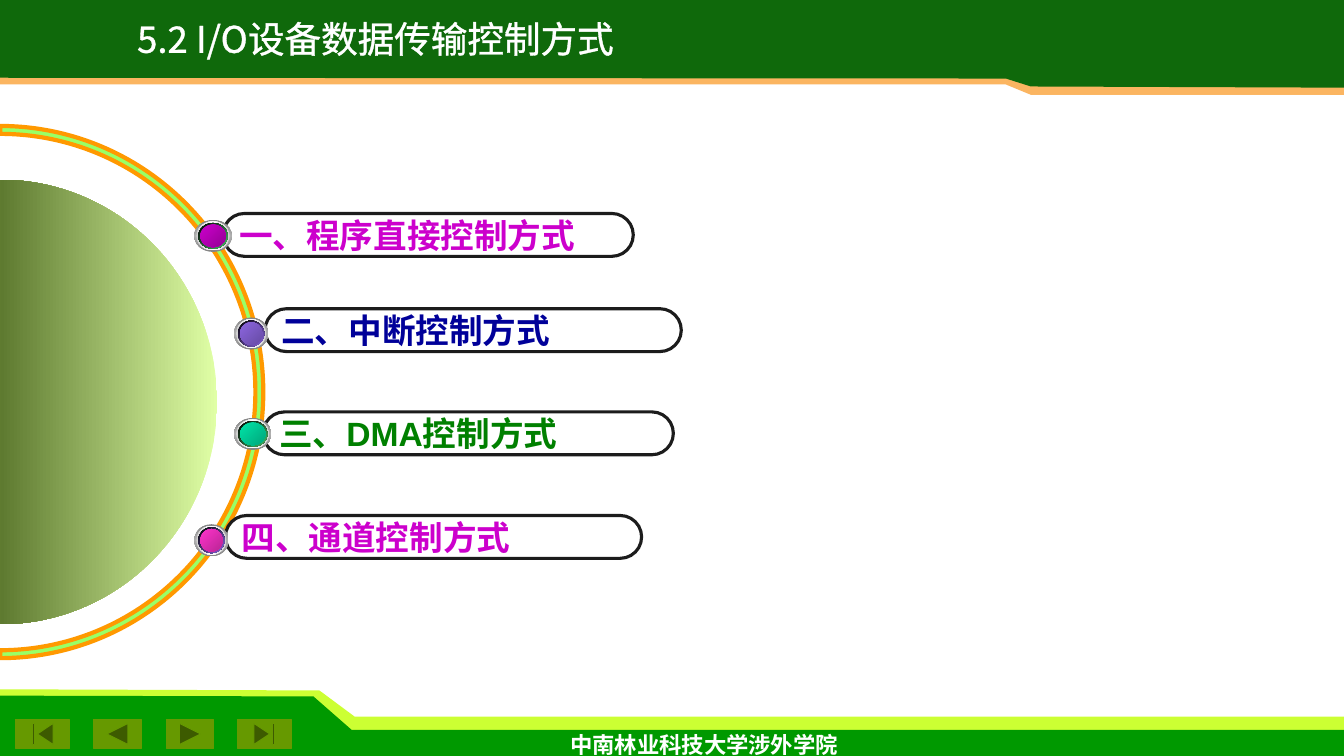
from dataclasses import dataclass

from pptx import Presentation
from pptx.dml.color import RGBColor as RGB
from pptx.enum.shapes import MSO_SHAPE as SHAPE
from pptx.enum.text import MSO_ANCHOR, MSO_AUTO_SIZE, PP_ALIGN
from pptx.oxml import parse_xml
from pptx.oxml.ns import nsdecls, qn
from pptx.util import Cm, Pt


@dataclass(frozen=True)
class Theme:
    white: str = "FFFFFF"
    header: str = "0F690B"
    header_edge: str = "FBB561"
    footer: str = "009900"
    footer_edge: str = "CCFF33"
    button: str = "669900"
    ring: str = "99FF66"
    ring_edge: str = "FF9900"
    disc: tuple = ("E0FFA6", "5E7A30", "E0FFA6")
    pill_edge: str = "1C1C1C"
    outer_rim: tuple = ("858585", "B0B0B0", "858585")
    inner_rim: tuple = ("D1D1D1", "FFFFFF", "D1D1D1")
    purple: str = "CC00CC"
    navy: str = "000099"
    green: str = "008000"
    title_font: str = "Noto Sans CJK SC"
    title_size: Pt = Pt(26.1)
    item_size: Pt = Pt(24)
    footer_size: Pt = Pt(16)


T = Theme()
W, H = 33.87, 19.05

prs = Presentation()
prs.slide_width, prs.slide_height = Cm(W), Cm(H)
s = prs.slides.add_slide(prs.slide_layouts[5])


def gradient(sp, angle, colors):
    """Fill with evenly spaced stops; the angle runs clockwise in degrees."""
    stops = "".join(
        f'<a:gs pos="{100000 * i // (len(colors) - 1)}"><a:srgbClr val="{c}"/></a:gs>'
        for i, c in enumerate(colors))
    sp.fill.background()
    sp_pr = sp.element.spPr
    sp_pr.replace(sp_pr.find(qn("a:noFill")), parse_xml(
        f'<a:gradFill {nsdecls("a")} rotWithShape="1"><a:gsLst>{stops}</a:gsLst>'
        f'<a:lin ang="{angle * 60000}" scaled="0"/></a:gradFill>'))


# Footer and header bands, with a faint highlight under the header step
bands = [
    (T.footer_edge, 100,
     [(0, 18.8), (W, 18.8), (W, 18.06), (8.94, 18.06), (8.05, 17.4), (0, 17.37)]),
    (T.footer, 100,
     [(0, H), (W, H), (W, 18.39), (8.86, 18.39), (7.9, 17.55), (0, 17.53)]),
    (T.header_edge, 100,
     [(W, 0), (0, 0), (0, 2.13), (25.35, 2.13), (25.98, 2.39), (W, 2.39)]),
    (T.header, 100,
     [(W, 0), (0, 0), (0, 1.96), (25.35, 1.98), (25.98, 2.18), (W, 2.21)]),
    (T.white, 30,
     [(25.55, 2.39), (33.53, 2.39), (33.5, 2.51), (25.88, 2.54)]),
]
for color, opacity, points in bands:
    first, *rest = [(Cm(x), Cm(y)) for x, y in points]
    builder = s.shapes.build_freeform(*first, scale=1.0)
    builder.add_line_segments(rest, close=True)
    band = builder.convert_to_shape()
    band.shadow.inherit = False
    band.fill.solid()
    band.fill.fore_color.rgb = RGB.from_string(color)
    band.line.fill.background()
    if opacity < 100:
        band.element.spPr.find(".//" + qn("a:srgbClr")).append(
            parse_xml(f'<a:alpha {nsdecls("a")} val="{opacity * 1000}"/>'))

# Navigation buttons
buttons = [
    (SHAPE.ACTION_BUTTON_BEGINNING, 0.4, 1.35),
    (SHAPE.ACTION_BUTTON_BACK_OR_PREVIOUS, 2.36, 1.2),
    (SHAPE.ACTION_BUTTON_FORWARD_OR_NEXT, 4.19, 1.2),
    (SHAPE.ACTION_BUTTON_END, 5.99, 1.35),
]
for kind, x, w in buttons:
    button = s.shapes.add_shape(kind, Cm(x), Cm(18.14), Cm(w), Cm(0.71))
    button.shadow.inherit = False
    button.fill.solid()
    button.fill.fore_color.rgb = button.line.color.rgb = RGB.from_string(T.button)
    button.line.width = Pt(0.75)

# School name
tf = s.shapes.add_textbox(Cm(14.12), Cm(18.29), Cm(7.42), Cm(0.94)).text_frame
tf.word_wrap = False
p = tf.paragraphs[0]
p.text = "中南林业科技大学涉外学院"
p.font.name, p.font.size, p.font.bold = "Karla", T.footer_size, True
p.font.color.rgb = RGB.from_string(T.white)

# Half ring and half disc: upper halves turned to face right
ring = s.shapes.add_shape(SHAPE.BLOCK_ARC, Cm(-6.7), Cm(3.25), Cm(13.41), Cm(13.26))
ring.adjustments[2] = 0.015
ring.rotation = 90
ring.shadow.inherit = False
ring.fill.solid()
ring.fill.fore_color.rgb = RGB.from_string(T.ring)
ring.line.color.rgb = RGB.from_string(T.ring_edge)
ring.line.width = Pt(3)

disc = s.shapes.add_shape(SHAPE.CHORD, Cm(-5.59), Cm(4.67), Cm(11.2), Cm(10.92))
disc.adjustments[0], disc.adjustments[1] = 108, 0
disc.rotation = 90
disc.shadow.inherit = False
disc.line.fill.background()
gradient(disc, 90, T.disc)

# Items: text, colour, pill (x, y, w), dot (x, y, w), dot edge and core
items = [
    ("三、DMA控制方式", T.green, (6.63, 10.38, 10.34), (5.9, 10.53, 0.94),
     "48BE67", ("00E4A8", "00A77B")),
    ("四、通道控制方式", T.purple, (5.68, 12.99, 10.49), (4.9, 13.21, 0.86),
     "8D67E1", ("FF33CC", "BA2595")),
    ("一、程序直接控制方式", T.purple, (5.62, 5.38, 10.34), (4.9, 5.54, 0.94),
     "48BE67", ("CC00CC", "950095")),
    ("二、中断控制方式", T.navy, (6.68, 7.78, 10.49), (5.9, 8, 0.86),
     "8D67E1", ("8D67E1", "674BA4")),
]
for text, color, (x, y, w), (dot_x, dot_y, dot_w), edge, core in items:
    group = s.shapes.add_group_shape()
    pill = group.shapes.add_shape(SHAPE.ROUNDED_RECTANGLE, Cm(x), Cm(y), Cm(w), Cm(1.08))
    pill.adjustments[0] = 0.5
    pill.shadow.inherit = False
    pill.fill.background()
    pill.line.color.rgb = RGB.from_string(T.pill_edge)
    pill.line.width = Pt(2.25)
    tf = pill.text_frame
    tf.word_wrap = False
    tf.vertical_anchor = MSO_ANCHOR.MIDDLE
    p = tf.paragraphs[0]
    p.text = text
    p.alignment = PP_ALIGN.LEFT
    p.font.name, p.font.size, p.font.bold = "Arial", T.item_size, True
    p.font.color.rgb = RGB.from_string(color)

    layers = [(90, T.outer_rim), (0, T.inner_rim), (45, ("000000", edge)), (45, core)]
    for i, (angle, colors) in enumerate(layers):
        dx, dy = 0.05 * i, 0.04 * i
        dot = group.shapes.add_shape(SHAPE.OVAL, Cm(dot_x + dx), Cm(dot_y + dy),
                                     Cm(dot_w - 2 * dx), Cm(0.81 - 2 * dy))
        dot.shadow.inherit = False
        dot.line.fill.background()
        gradient(dot, angle, colors)

# Title, brought in front of the header band, with outlined letters
title = s.shapes.title
s.shapes.element.append(title.element)
title.left, title.top, title.width, title.height = Cm(1.37), Cm(0.48), Cm(16.4), Cm(1.17)
tf = title.text_frame
tf.word_wrap = False
tf.auto_size = MSO_AUTO_SIZE.NONE
tf.vertical_anchor = MSO_ANCHOR.MIDDLE
p = tf.paragraphs[0]
p.alignment = PP_ALIGN.CENTER
p.line_spacing = 0.8
r = p.add_run()
r.text = "5.2 I/O设备数据传输控制方式 "
r.font.name, r.font.size = T.title_font, T.title_size
r.font.color.rgb = RGB.from_string(T.white)
r_pr = r.font._element if hasattr(r.font, "_element") else r._r.get_or_add_rPr()
r_pr.insert(0, parse_xml(
    f'<a:ln {nsdecls("a")} w="19050"><a:solidFill><a:srgbClr val="{T.white}"/>'
    '</a:solidFill></a:ln>'))
r_pr.find(qn("a:latin")).addnext(
    parse_xml(f'<a:ea {nsdecls("a")} typeface="{T.title_font}"/>'))

prs.save("out.pptx")
